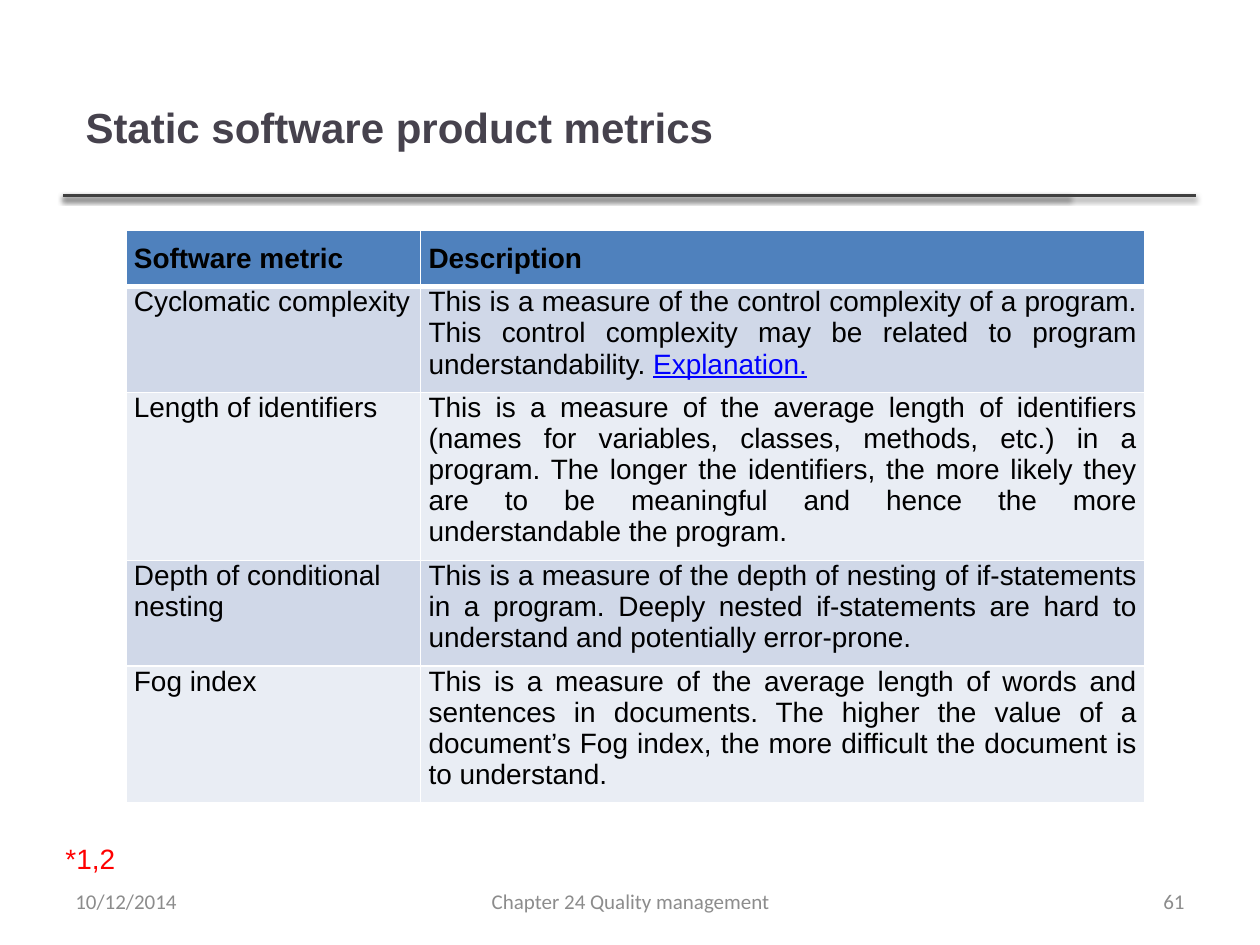
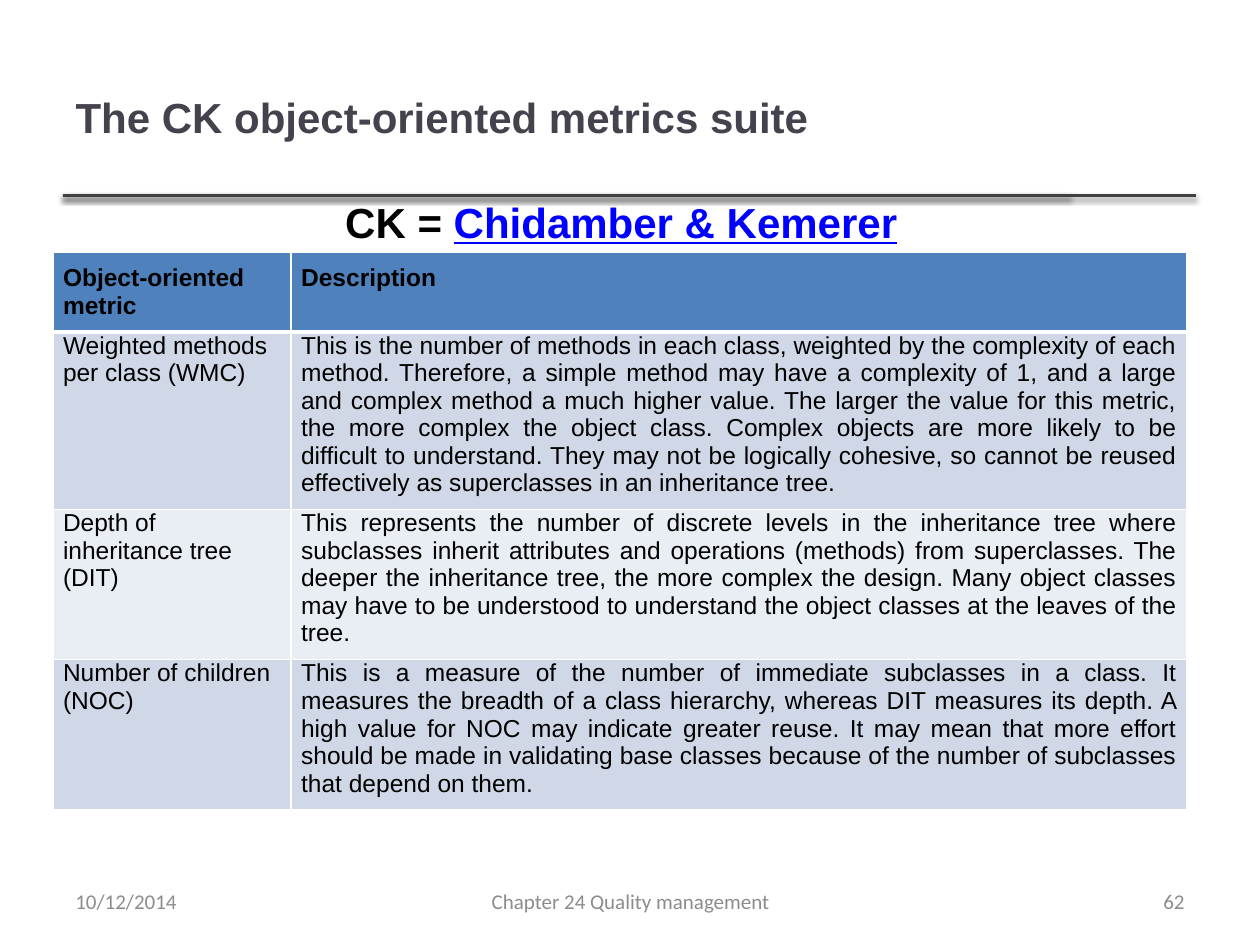
from lxml.etree import SubElement
from pptx import Presentation
from pptx.dml.color import RGBColor
from pptx.enum.shapes import MSO_CONNECTOR
from pptx.enum.text import MSO_ANCHOR, MSO_AUTO_SIZE, PP_ALIGN
from pptx.oxml.ns import qn
from pptx.util import Cm, Pt

INK, TITLE, RULE, GREY = "000000", "46424D", "404040", "8C8C8C"
LINK, RED, WHITE = "0000FF", "FF0000", "FFFFFF"
HEADER, BANDS = "4F81BD", ("D0D8E8", "E9EDF4")
LEFT, CENTER, RIGHT, JUSTIFY = PP_ALIGN.LEFT, PP_ALIGN.CENTER, PP_ALIGN.RIGHT, PP_ALIGN.JUSTIFY

DATE, CHAPTER, FIRST_PAGE = "10/12/2014", "Chapter 24 Quality management", 61
FOOTER_TOP, FOOTER_HEIGHT = 17.65, 1.02
RULE_LEFT, RULE_TOP, RULE_ENDS = 1.27, 3.94, (21.56, 24.1)
ROW_HEIGHT, CELL_PAD = 1.04, 0.25

SLIDES = [
    {
        "title": "Static software product metrics",
        "title_at": (1.47, 1.07, 20.12, 2.97),
        "table_at": (2.54, 4.65), "columns": (5.94, 14.6), "size": 16, "side": 0.16,
        "rows": [
            ("Software metric", "Description"),
            ("Cyclomatic complexity",
             "This is a measure of the control complexity of a program. This control complexity "
             "may be related to program understandability. ", "Explanation."),
            ("Length of identifiers",
             "This is a measure of the average length of identifiers (names for variables, classes, "
             "methods, etc.) in a program. The longer the identifiers, the more likely they are to "
             "be meaningful and hence the more understandable the program."),
            ("Depth of conditional nesting",
             "This is a measure of the depth of nesting of if-statements in a program. Deeply nested "
             "if-statements are hard to understand and potentially error-prone."),
            ("Fog index",
             "This is a measure of the average length of words and sentences in documents. The higher "
             "the value of a document’s Fog index, the more difficult the document is to understand."),
        ],
        "note": "*1,2", "note_at": (1.07, 16.84, 1.52, 0.94),
        "note_format": {"size": 16, "color": RED, "wrap": False},
    },
    {
        "title": "The CK object-oriented metrics suite",
        "title_at": (1.27, 0.76, 20.27, 3.18),
        "table_at": (1.07, 5.08), "columns": (4.8, 18.06), "size": 14, "side": 0.2,
        "rows": [
            ("Object-oriented metric", "Description"),
            ("Weighted methods per class (WMC)",
             "This is the number of methods in each class, weighted by the complexity of each method. "
             "Therefore, a simple method may have a complexity of 1, and a large and complex method a "
             "much higher value. The larger the value for this metric, the more complex the object "
             "class. Complex objects are more likely to be difficult to understand. They may not be "
             "logically cohesive, so cannot be reused effectively as superclasses in an inheritance tree."),
            ("Depth of inheritance tree (DIT)",
             "This represents the number of discrete levels in the inheritance tree where subclasses "
             "inherit attributes and operations (methods) from superclasses. The deeper the inheritance "
             "tree, the more complex the design. Many object classes may have to be understood to "
             "understand the object classes at the leaves of the tree."),
            ("Number of children (NOC)",
             "This is a measure of the number of immediate subclasses in a class. It measures the breadth "
             "of a class hierarchy, whereas DIT measures its depth. A high value for NOC may indicate "
             "greater reuse. It may mean that more effort should be made in validating base classes "
             "because of the number of subclasses that depend on them."),
        ],
        "note": "CK = ", "note_link": "Chidamber & Kemerer", "note_at": (6.71, 3.84, 13.59, 1.27),
        "note_format": {"size": 24, "bold": True},
    },
]


def rgb(value):
    """Turn a hex string into a colour."""
    return RGBColor.from_string(value)


def write(frame, text, link="", size=12, font="Arial", color=INK, bold=False,
          align=LEFT, anchor=MSO_ANCHOR.TOP, wrap=True):
    """Write one formatted paragraph, ending in underlined link text if given."""
    frame.word_wrap, frame.vertical_anchor = wrap, anchor
    para = frame.paragraphs[0]
    para.alignment = align
    for words, is_link in ((text, False), (link, True)):
        if words:
            span = para.add_run()
            span.text = words
            span.font.size, span.font.name, span.font.bold = Pt(size), font, bold
            span.font.underline = is_link
            span.font.color.rgb = rgb(LINK if is_link else color)


def add_text(page, place, text, **style):
    """Add a text box at a place given in centimetres."""
    box = page.shapes.add_textbox(*map(Cm, place))
    write(box.text_frame, text, **style)
    return box


def add_rules(page, layout):
    """Draw the shadowed title rules and hand them to the shared layout."""
    for end in RULE_ENDS:
        rule = page.shapes.add_connector(
            MSO_CONNECTOR.STRAIGHT, Cm(RULE_LEFT), Cm(RULE_TOP), Cm(end), Cm(RULE_TOP))
        rule.line.color.rgb, rule.line.width = rgb(RULE), Pt(2)
        effects = SubElement(rule.element.spPr, qn("a:effectLst"))
        shadow = SubElement(effects, qn("a:outerShdw"), blurRad=str(Pt(3.1)), dist=str(Pt(1.6)),
                            dir="5400000", rotWithShape="0")
        tint = SubElement(shadow, qn("a:srgbClr"), val=INK)
        SubElement(tint, qn("a:alpha"), val="38000")
        layout.shapes.element.append(rule.element)


def add_borders(cell, bottom):
    """Give a cell white borders, the bottom one with its own width."""
    properties = cell._tc.get_or_add_tcPr()
    for side, width in (("L", 1), ("R", 1), ("T", 1), ("B", bottom)):
        border = SubElement(properties, qn(f"a:ln{side}"), w=str(Pt(width)))
        fill = SubElement(border, qn("a:solidFill"))
        SubElement(fill, qn("a:srgbClr"), val=WHITE)


def add_metrics(page, content):
    """Add the banded table of metrics and their descriptions."""
    rows, columns = content["rows"], content["columns"]
    left, top = content["table_at"]
    table = page.shapes.add_table(len(rows), len(columns), Cm(left), Cm(top), Cm(sum(columns)),
                                  Cm(ROW_HEIGHT * len(rows))).table
    for column, width in zip(table.columns, columns):
        column.width = Cm(width)
    for row_index, (metric, description, *link) in enumerate(rows):
        is_header = row_index == 0
        for column_index, text in enumerate((metric, description)):
            cell = table.cell(row_index, column_index)
            add_borders(cell, 3 if is_header else 1)
            cell.fill.solid()
            cell.fill.fore_color.rgb = rgb(HEADER if is_header else BANDS[(row_index - 1) % 2])
            cell.margin_left = cell.margin_right = Cm(content["side"])
            cell.margin_top = Cm(CELL_PAD if is_header else 0)
            cell.margin_bottom = Cm(CELL_PAD)
            write(cell.text_frame, text, link="".join(link) if column_index else "",
                  size=content["size"], bold=is_header,
                  align=JUSTIFY if is_header or column_index else LEFT)


def add_footer(page, number):
    """Add the date, chapter and page number."""
    for text, left, width, align in ((CHAPTER, 8.69, 8.05, CENTER),
                                     (str(number), 18.21, 5.92, RIGHT),
                                     (DATE, 1.27, 5.92, LEFT)):
        add_text(page, (left, FOOTER_TOP, width, FOOTER_HEIGHT), text, font="Calibri",
                 color=GREY, align=align, anchor=MSO_ANCHOR.MIDDLE)


def add_page(deck, layout, content, number):
    """Build one slide from its content."""
    page = deck.slides.add_slide(layout)
    title = page.shapes.title
    title.left, title.top, title.width, title.height = map(Cm, content["title_at"])
    title.text_frame.auto_size = MSO_AUTO_SIZE.NONE
    write(title.text_frame, content["title"], size=24, color=TITLE, bold=True,
          anchor=MSO_ANCHOR.MIDDLE)
    add_metrics(page, content)
    add_footer(page, number)
    note = add_text(page, content["note_at"], content["note"],
                    link=content.get("note_link", ""), **content["note_format"])
    note.text_frame.auto_size = MSO_AUTO_SIZE.SHAPE_TO_FIT_TEXT
    return page


def main():
    """Build and save the deck."""
    deck = Presentation()
    deck.slide_width, deck.slide_height = Cm(25.4), Cm(19.05)
    layout = deck.slide_layouts.get_by_name("Title Only")
    pages = [add_page(deck, layout, content, number)
             for number, content in enumerate(SLIDES, FIRST_PAGE)]
    add_rules(pages[0], layout)
    deck.save("out.pptx")


if __name__ == "__main__":
    main()
